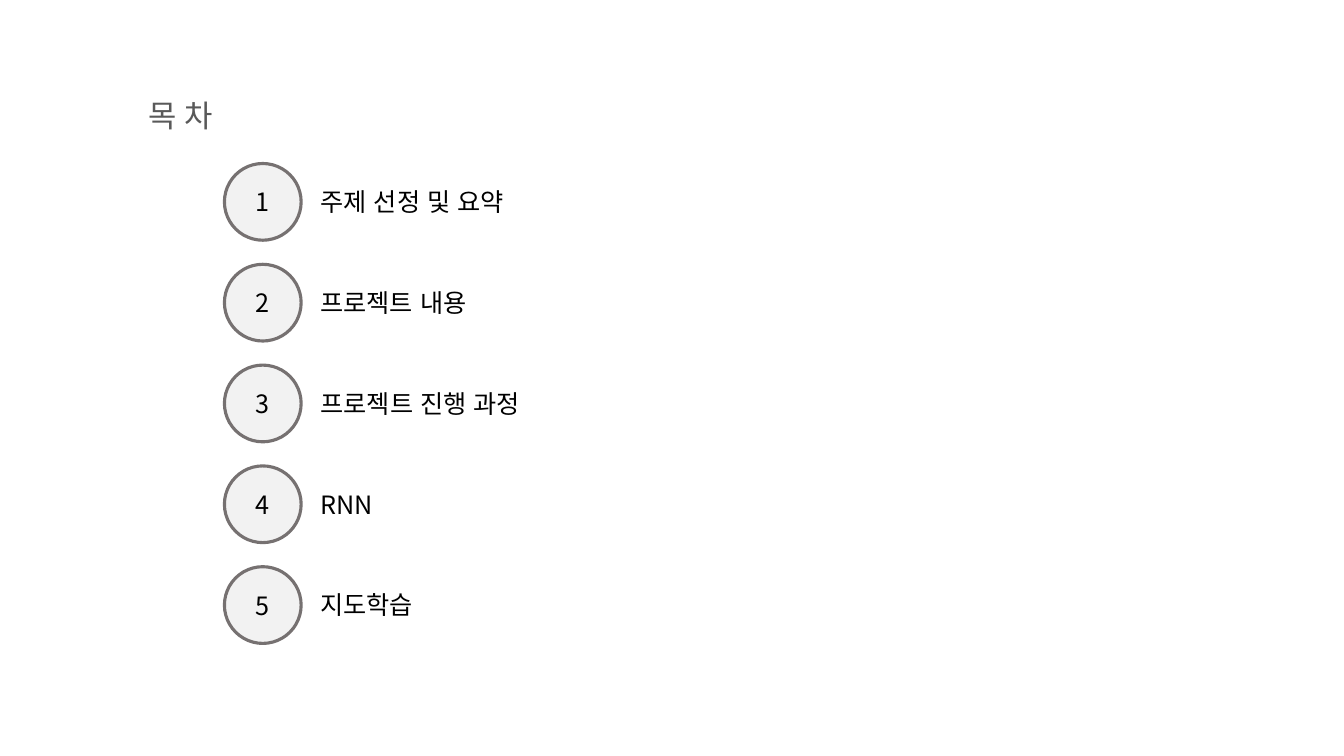
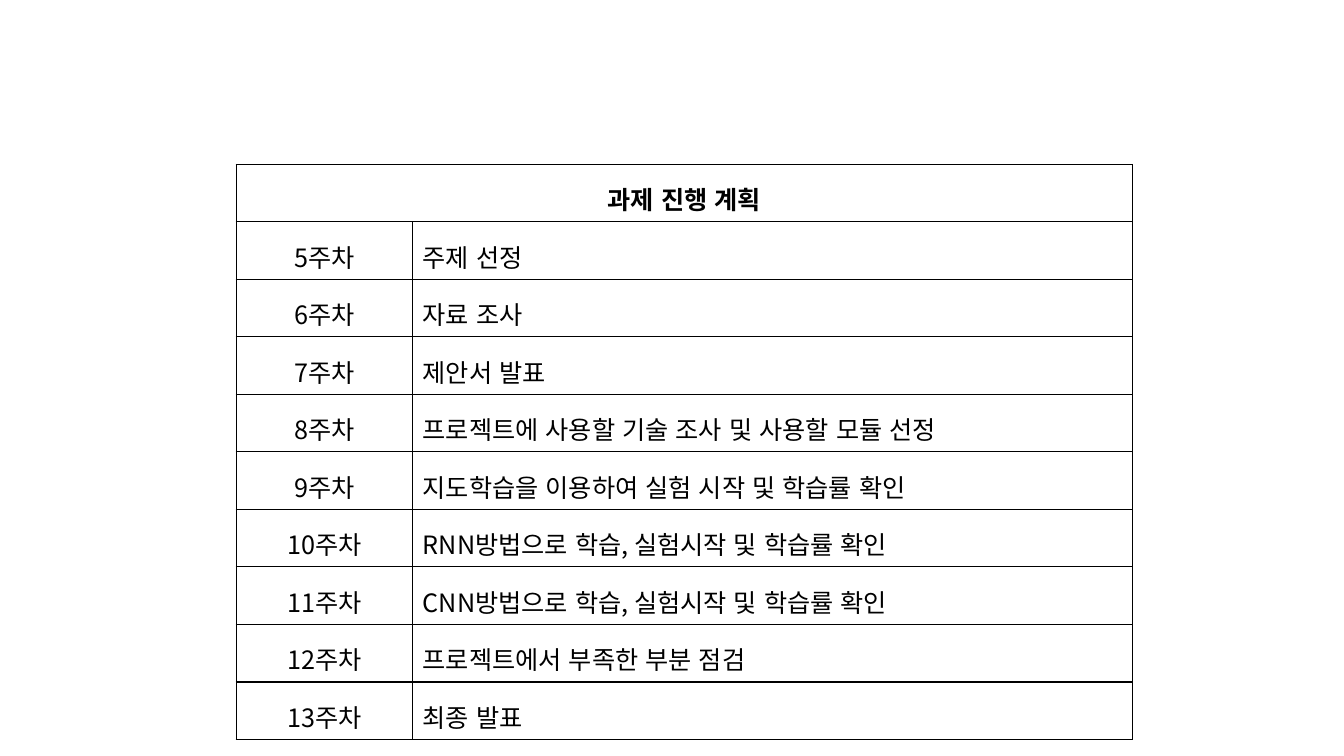
from lxml.etree import SubElement
from pptx import Presentation
from pptx.dml.color import RGBColor
from pptx.enum.lang import MSO_LANGUAGE_ID as Language
from pptx.enum.shapes import MSO_SHAPE as Shape
from pptx.enum.text import MSO_ANCHOR as Anchor, MSO_AUTO_SIZE as AutoSize, PP_ALIGN as Align
from pptx.oxml.ns import qn
from pptx.util import Pt

COLORS = {"text": "000000", "title": "595959", "circle": "F2F2F2",
          "outline": "767171", "border": "000000"}
FONT = "Noto Sans CJK KR"


def write(frame, text, align=Align.LEFT, size=18, color="text", bold=False):
    frame.text = text
    para = frame.paragraphs[0]
    para.alignment = align
    for span in para.runs:
        font = span.font
        font.size, font.bold = Pt(size), bold
        font.language_id = Language.KOREAN
        font.color.rgb = RGBColor.from_string(COLORS[color])
        font.name = FONT
        SubElement(font._element, qn("a:ea"), typeface=FONT)
    return para


def add_borders(cell):
    properties = cell._tc.get_or_add_tcPr()
    for side in ("lnL", "lnR", "lnT", "lnB"):
        line = SubElement(properties, qn(f"a:{side}"), w=str(Pt(1)))
        fill = SubElement(line, qn("a:solidFill"))
        SubElement(fill, qn("a:srgbClr"), val=COLORS["border"])


deck = Presentation()
deck.slide_width, deck.slide_height = Pt(960), Pt(540)
title_only, blank = deck.slide_layouts[5], deck.slide_layouts[6]

# Contents: title
page = deck.slides.add_slide(title_only)
title = page.shapes.title
title.left, title.top, title.width, title.height = Pt(98.6), Pt(65.5), Pt(313), Pt(34)
write(title.text_frame, "목 차", size=22, color="title")
title.text_frame.vertical_anchor = Anchor.TOP
title.text_frame.auto_size = AutoSize.SHAPE_TO_FIT_TEXT

# Contents: numbered circles with their labels and label widths
topics = [("주제 선정 및 요약", 146), ("프로젝트 내용", 119.5),
          ("프로젝트 진행 과정", 157.7), ("RNN", 53.3), ("지도학습", 81.4)]
for index, (topic, width) in enumerate(topics):
    top = 116.8 + 72 * index
    circle = page.shapes.add_shape(Shape.OVAL, Pt(160.3), Pt(top), Pt(54.8), Pt(54.8))
    circle.shadow.inherit = False
    circle.fill.solid()
    circle.fill.fore_color.rgb = RGBColor.from_string(COLORS["circle"])
    circle.line.color.rgb = RGBColor.from_string(COLORS["outline"])
    circle.line.width = Pt(2.25)
    circle.text_frame.vertical_anchor = Anchor.MIDDLE
    write(circle.text_frame, str(index + 1), Align.CENTER)

    label = page.shapes.add_textbox(Pt(221.8), Pt(top + 12.8), Pt(width), Pt(29))
    label.text_frame.word_wrap = False
    label.text_frame.auto_size = AutoSize.SHAPE_TO_FIT_TEXT
    write(label.text_frame, topic)

# Schedule: one heading row, then one row a week
FIRST_WEEK = 5
tasks = ["주제 선정", "자료 조사", "제안서 발표",
         "프로젝트에 사용할 기술 조사 및 사용할 모듈 선정",
         "지도학습을 이용하여 실험 시작 및 학습률 확인",
         "RNN방법으로 학습, 실험시작 및 학습률 확인",
         "CNN방법으로 학습, 실험시작 및 학습률 확인",
         "프로젝트에서 부족한 부분 점검", "최종 발표"]
rows = [("과제 진행 계획", "")]
rows += [(f"{week}주차", task) for week, task in enumerate(tasks, FIRST_WEEK)]

page = deck.slides.add_slide(blank)
table = page.shapes.add_table(len(rows), 2, Pt(168.8), Pt(117.4), Pt(640), Pt(411)).table
table.first_row = table.horz_banding = False
table.columns[0].width, table.columns[1].width = Pt(126), Pt(514)
table.cell(0, 0).merge(table.cell(0, 1))
for row, texts in enumerate(rows):
    for column, text in enumerate(texts):
        cell = table.cell(row, column)
        add_borders(cell)
        cell.fill.background()
        align = Align.LEFT if column else Align.CENTER
        para = write(cell.text_frame, text, align, bold=row == 0)
        para.line_spacing = 1.3

deck.save("out.pptx")
